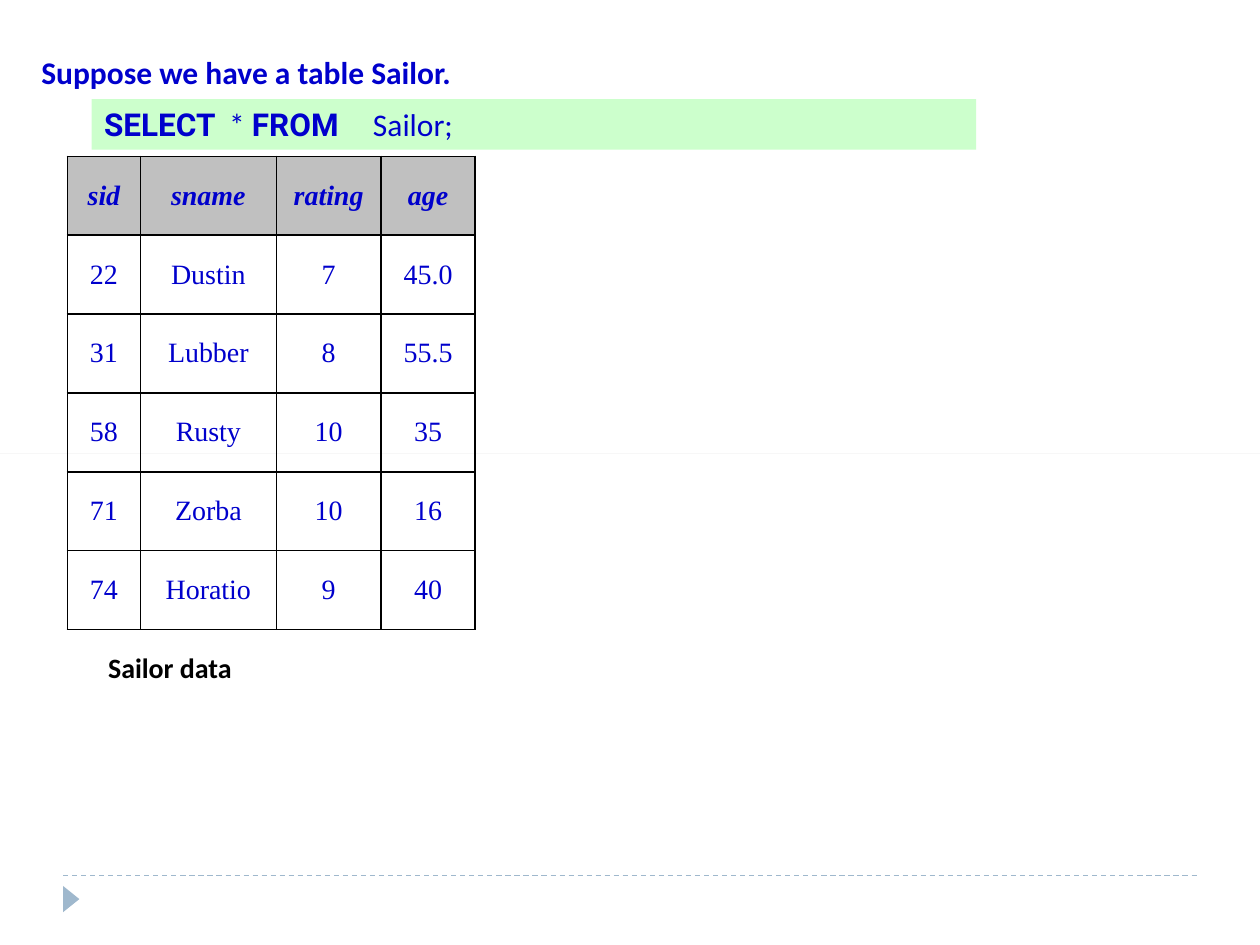
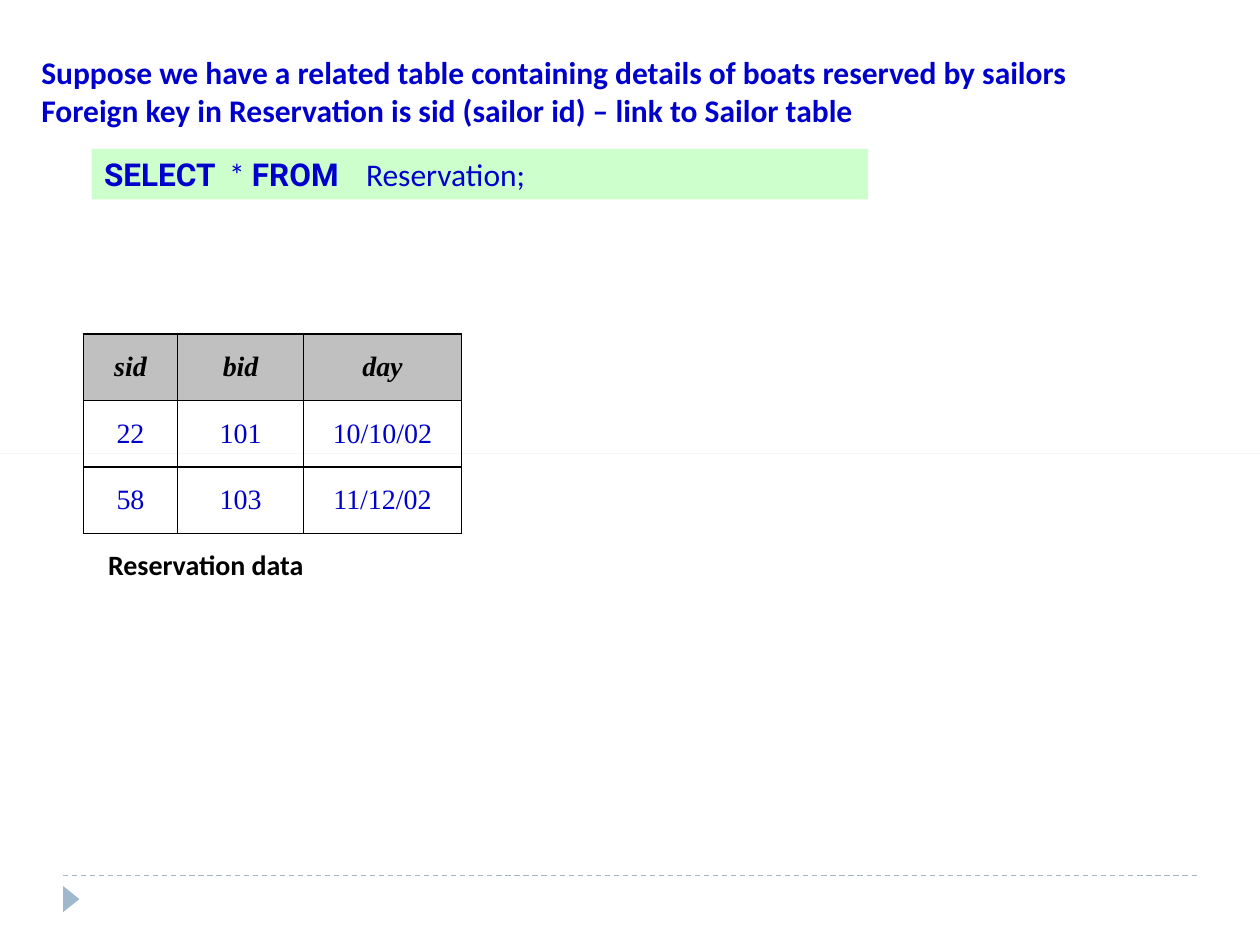
from dataclasses import dataclass
from typing import Any

import lxml.etree
import pptx
import pptx.dml.color
import pptx.enum.dml
import pptx.enum.shapes
import pptx.enum.text
import pptx.oxml.ns
import pptx.shapes.autoshape
import pptx.shapes.base
import pptx.slide
import pptx.table
import pptx.text.text
import pptx.util

Cm = pptx.util.Cm
Pt = pptx.util.Pt
RGBColor = pptx.dml.color.RGBColor
SHAPE = pptx.enum.shapes.MSO_SHAPE
ANCHOR = pptx.enum.text.MSO_ANCHOR
ALIGN = pptx.enum.text.PP_ALIGN
qn = pptx.oxml.ns.qn


@dataclass(frozen=True)
class Theme:
    blue: str = "0000CC"
    black: str = "000000"
    grey: str = "C0C0C0"
    green: str = "CCFFCC"
    accent: str = "9FB8CD"
    sans: str = "Calibri"
    keyword: str = "Roboto"
    serif: str = "Times New Roman"
    large: int = 18
    small: int = 16


THEME = Theme()
TITLE = dict(name=THEME.sans, size=Pt(THEME.large), bold=True)
KEYWORD = TITLE | dict(name=THEME.keyword)
CODE = TITLE | dict(bold=False)
CAPTION = TITLE | dict(size=Pt(THEME.small))
BODY_CELL = dict(name=THEME.serif, size=Pt(THEME.small), bold=False, italic=False)
HEAD_CELL = BODY_CELL | dict(bold=True, italic=True)


@dataclass(frozen=True)
class Area:
    """A place on the page, in centimetres."""
    left: float
    top: float
    width: float
    height: float

    def lengths(self) -> list[int]:
        return [Cm(value) for value in (self.left, self.top, self.width, self.height)]


@dataclass(frozen=True)
class Query:
    area: Area
    table_name: str
    name_tab: float


@dataclass(frozen=True)
class Grid:
    left: float
    top: float
    columns: tuple[float, ...]
    row_height: float
    head_color: str
    rows: tuple[tuple[str, ...], ...]


@dataclass(frozen=True)
class Lesson:
    title: str
    title_area: Area
    query: Query
    grid: Grid
    caption: str
    caption_area: Area


LESSONS = (
    Lesson(
        title="Suppose we have a table Sailor.",
        title_area=Area(0.58, 0.94, 9.8, 1.02),
        query=Query(Area(1.85, 2, 17.83, 1.02), "Sailor;", 5.42),
        grid=Grid(1.36, 3.15, (1.47, 2.74, 2.11, 1.9), 1.59, THEME.blue, (
            ("sid", "sname", "rating", "age"),
            ("22", "Dustin", "7", "45.0"),
            ("31", "Lubber", "8", "55.5"),
            ("58", "Rusty", "10", "35"),
            ("71", "Zorba", "10", "16"),
            ("74", "Horatio", "9", "40"),
        )),
        caption="Sailor data",
        caption_area=Area(1.93, 12.98, 3.4, 0.94),
    ),
    Lesson(
        title="Suppose we have a related table containing details of boats reserved by sailors\n"
              "Foreign key in Reservation is sid (sailor id) – link to Sailor table",
        title_area=Area(0.58, 0.94, 23.75, 1.8),
        query=Query(Area(1.85, 3, 15.65, 1.02), "Reservation;", 5.28),
        grid=Grid(1.68, 6.73, (1.9, 2.54, 3.18), 1.34, THEME.black, (
            ("sid", "bid", "day"),
            ("22", "101", "10/10/02"),
            ("58", "103", "11/12/02"),
        )),
        caption="Reservation data",
        caption_area=Area(1.93, 10.92, 5.03, 0.94),
    ),
)


def add_span(para: pptx.text.text._Paragraph, text: str, style: dict[str, Any],
             color: str = THEME.blue) -> None:
    span = para.add_run()
    span.text = text
    for name, value in style.items():
        setattr(span.font, name, value)
    span.font.color.rgb = RGBColor.from_string(color)


def write_lines(box: pptx.shapes.base.BaseShape, text: str, style: dict[str, Any],
                color: str) -> None:
    """Write left-aligned lines from the top of the box, one paragraph each."""
    frame = box.text_frame
    frame.word_wrap = True
    frame.auto_size = pptx.enum.text.MSO_AUTO_SIZE.NONE
    frame.vertical_anchor = ANCHOR.TOP
    for index, line in enumerate(text.split("\n")):
        para = frame.add_paragraph() if index else frame.paragraphs[0]
        para.alignment = ALIGN.LEFT
        add_span(para, line, style, color)


def add_filled(page: pptx.slide.Slide, kind: SHAPE, area: Area,
               color: str) -> pptx.shapes.autoshape.Shape:
    shape = page.shapes.add_shape(kind, *area.lengths())
    shape.shadow.inherit = False
    shape.fill.solid()
    shape.fill.fore_color.rgb = RGBColor.from_string(color)
    shape.line.fill.background()
    return shape


def add_footer(page: pptx.slide.Slide) -> None:
    """Draw the footer and move it to the layout, so that all pages share it."""
    rule = page.shapes.add_connector(
        pptx.enum.shapes.MSO_CONNECTOR.STRAIGHT, Cm(1.27), Cm(17.65), Cm(24.13), Cm(17.65))
    rule.line.color.rgb = RGBColor.from_string(THEME.accent)
    rule.line.width = Pt(0.75)
    rule.line.dash_style = pptx.enum.dml.MSO_LINE.DASH
    lxml.etree.SubElement(rule.element.spPr, qn("a:effectLst"))
    marker = add_filled(page, SHAPE.ISOSCELES_TRIANGLE, Area(1.17, 17.96, 0.53, 0.33),
                        THEME.accent)
    marker.rotation = 90
    for shape in (rule, marker):
        page.slide_layout.shapes.element.append(shape.element)


def add_query(page: pptx.slide.Slide, query: Query) -> None:
    box = add_filled(page, SHAPE.RECTANGLE, query.area, THEME.green)
    box.text_frame.word_wrap = True
    box.text_frame.vertical_anchor = ANCHOR.TOP
    para = box.text_frame.paragraphs[0]
    para.alignment = ALIGN.LEFT
    tabs = lxml.etree.SubElement(para._p.get_or_add_pPr(), qn("a:tabLst"))
    for position in (2.52, query.name_tab):
        lxml.etree.SubElement(tabs, qn("a:tab"), pos=str(Cm(position)), algn="l")
    for text, style in (("SELECT", KEYWORD), ("\t* ", CODE), ("FROM", KEYWORD),
                        (f"\t{query.table_name}", CODE)):
        add_span(para, text, style)


def add_borders(cell: pptx.table._Cell) -> None:
    properties = cell._tc.get_or_add_tcPr()
    for side in ("lnL", "lnR", "lnT", "lnB"):
        edge = lxml.etree.SubElement(properties, qn(f"a:{side}"), w=str(Pt(1)))
        fill = lxml.etree.SubElement(edge, qn("a:solidFill"))
        lxml.etree.SubElement(fill, qn("a:srgbClr"), val=THEME.black)


def add_grid(page: pptx.slide.Slide, grid: Grid) -> None:
    area = Area(grid.left, grid.top, sum(grid.columns), grid.row_height * len(grid.rows))
    table = page.shapes.add_table(len(grid.rows), len(grid.columns), *area.lengths()).table
    table.first_row = table.horz_banding = False
    for column, width in zip(table.columns, grid.columns):
        column.width = Cm(width)
    for row_index, (row, texts) in enumerate(zip(table.rows, grid.rows)):
        row.height = Cm(grid.row_height)
        is_head = row_index == 0
        for cell, text in zip(row.cells, texts):
            add_borders(cell)
            if is_head:
                cell.fill.solid()
                cell.fill.fore_color.rgb = RGBColor.from_string(THEME.grey)
            else:
                cell.fill.background()
            cell.vertical_anchor = ANCHOR.MIDDLE
            para = cell.text_frame.paragraphs[0]
            para.alignment = ALIGN.CENTER
            add_span(para, text, HEAD_CELL if is_head else BODY_CELL,
                     grid.head_color if is_head else THEME.blue)


def add_lesson(page: pptx.slide.Slide, lesson: Lesson) -> None:
    title = page.shapes.title
    title.left, title.top, title.width, title.height = lesson.title_area.lengths()
    write_lines(title, lesson.title, TITLE, THEME.blue)
    add_filled(page, SHAPE.RECTANGLE, Area(0, 9.14, 25.4, 0), THEME.grey)
    add_grid(page, lesson.grid)
    add_query(page, lesson.query)
    caption = page.shapes.add_textbox(*lesson.caption_area.lengths())
    write_lines(caption, lesson.caption, CAPTION, THEME.black)


def main() -> None:
    deck = pptx.Presentation()
    deck.slide_width, deck.slide_height = Cm(25.4), Cm(19.05)
    title_only = deck.slide_layouts[5]
    pages = [deck.slides.add_slide(title_only) for _ in LESSONS]
    add_footer(pages[0])
    for page, lesson in zip(pages, LESSONS):
        add_lesson(page, lesson)
    deck.save("out.pptx")


if __name__ == "__main__":
    main()
